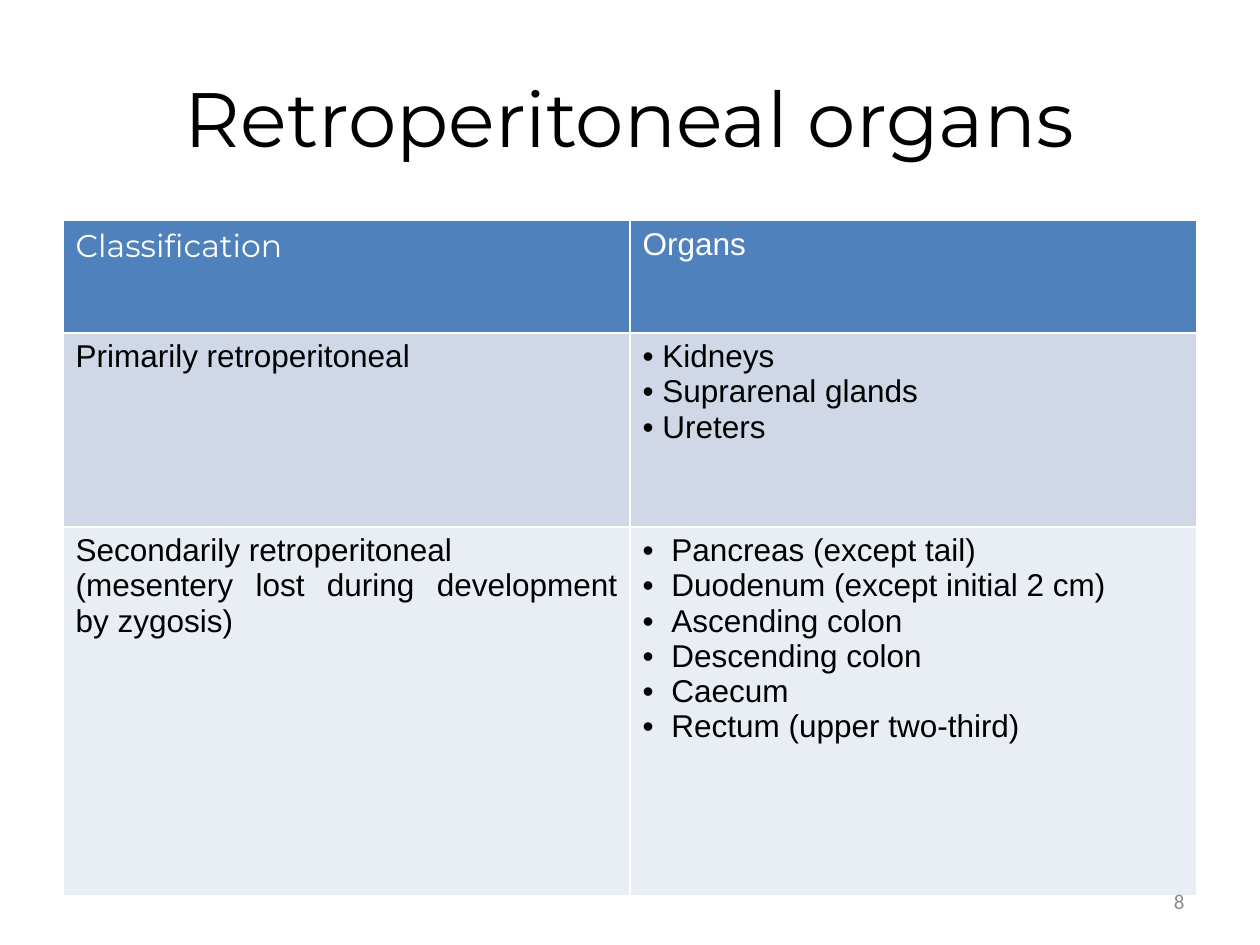
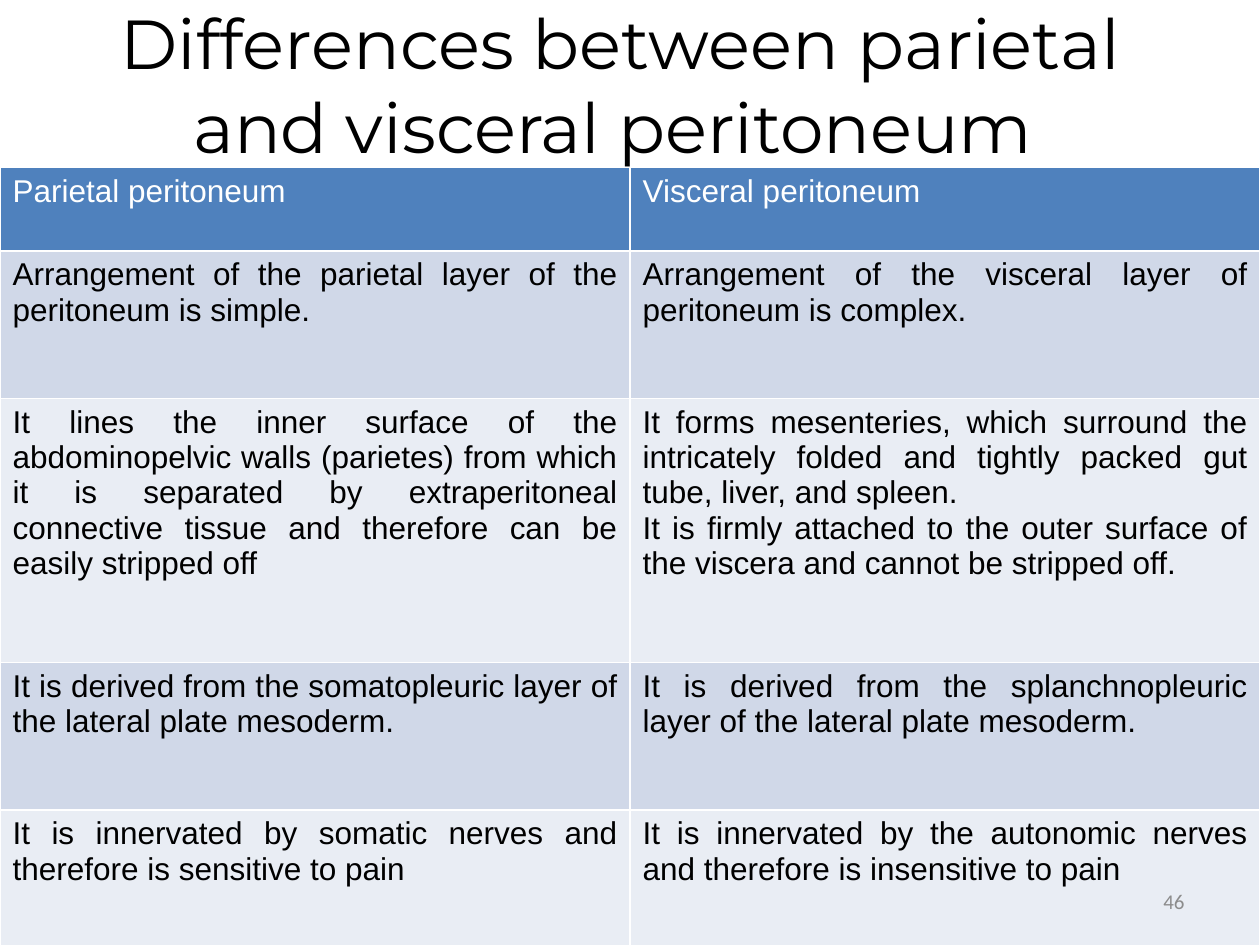
from lxml import etree
from pptx import Presentation
from pptx.dml.color import RGBColor
from pptx.enum import text
from pptx.oxml import ns
from pptx.util import Cm, Pt

BLACK = RGBColor(0x00, 0x00, 0x00)
WHITE = RGBColor(0xFF, 0xFF, 0xFF)
GREY = RGBColor(0x8C, 0x8C, 0x8C)
HEADER = RGBColor(0x4F, 0x81, 0xBD)
BANDS = RGBColor(0xD0, 0xD8, 0xE8), RGBColor(0xE9, 0xED, 0xF4)
ALIGN = text.PP_ALIGN
HEAD_FONT, BODY_FONT, NUMBER_FONT = "Montserrat", "Arial", "Calibri"
NUMBER_BOX = 18.21, 17.65, 5.92, 1.02

SLIDES = [
    {
        "title": [("Retroperitoneal organs", HEAD_FONT)],
        "title_box": (1.27, 0.76, 22.86, 3.18),
        "title_size": 44,
        "table_box": (1.27, 4.45, 22.86),
        "row_heights": (2.26, 3.91, 7.44),
        "header_fonts": (HEAD_FONT, BODY_FONT),
        "header_align": ALIGN.JUSTIFY,
        "bullet_indents": {1: 0.4, 2: 0.58},
        "number": "8",
        "rows": [
            (["Classification"], ["Organs"]),
            (["Primarily retroperitoneal"],
             ["Kidneys", "Suprarenal glands", "Ureters"]),
            (["Secondarily retroperitoneal",
              "(mesentery lost during development by zygosis)"],
             ["Pancreas (except tail)", "Duodenum (except initial 2 cm)",
              "Ascending colon", "Descending colon", "Caecum",
              "Rectum (upper two-third)"]),
        ],
    },
    {
        "title": [(" ", NUMBER_FONT),
                  ("Differences between parietal and visceral peritoneum", HEAD_FONT)],
        "title_box": (0.58, 0, 23.55, 3.38),
        "title_size": 39.6,
        "table_box": (0, 3.38, 25.4),
        "row_heights": (1.68, 2.97, 5.33, 2.97, 2.97),
        "header_fonts": (BODY_FONT, BODY_FONT),
        "header_align": ALIGN.LEFT,
        "bullet_indents": {},
        "number": "46",
        "rows": [
            (["Parietal peritoneum"], ["Visceral peritoneum"]),
            (["Arrangement of the parietal layer of the peritoneum is simple."],
             ["Arrangement of the visceral layer of peritoneum is complex."]),
            (["It lines the inner surface of the abdominopelvic walls (parietes) "
              "from which it is separated by extraperitoneal connective tissue "
              "and therefore can be easily stripped off"],
             ["It forms mesenteries, which surround the intricately folded and "
              "tightly packed gut tube, liver, and spleen.",
              "It is firmly attached to the outer surface of the viscera and "
              "cannot be stripped off."]),
            (["It is derived from the somatopleuric layer of the lateral plate mesoderm."],
             ["It is derived from the splanchnopleuric layer of the lateral plate mesoderm."]),
            (["It is innervated by somatic nerves and therefore is sensitive to pain"],
             ["It is innervated by the autonomic nerves and therefore is insensitive to pain"]),
        ],
    },
]


def add_run(p, words, font, size, color):
    r = p.add_run()
    r.text = words
    r.font.name, r.font.size = font, Pt(size)
    r.font.color.rgb = color


def add_text(s, box, runs, size, color, align):
    tf = s.shapes.add_textbox(*map(Cm, box)).text_frame
    tf.word_wrap = True
    tf.vertical_anchor = text.MSO_ANCHOR.MIDDLE
    p = tf.paragraphs[0]
    p.alignment = align
    for words, font in runs:
        add_run(p, words, font, size, color)


def add_bullet(p, indent):
    pPr = p._p.get_or_add_pPr()
    pPr.set("marL", str(Cm(indent)))
    pPr.set("indent", str(-Cm(indent)))
    etree.SubElement(pPr, ns.qn("a:buFont"), typeface=BODY_FONT)
    etree.SubElement(pPr, ns.qn("a:buChar"), char="•")


def add_borders(cell):
    tcPr = cell._tc.get_or_add_tcPr()
    for i, side in enumerate("LRTB"):
        ln = etree.Element(ns.qn(f"a:ln{side}"), w=str(Pt(1)))
        fill = etree.SubElement(ln, ns.qn("a:solidFill"))
        etree.SubElement(fill, ns.qn("a:srgbClr"), val=str(WHITE))
        tcPr.insert(i, ln)


def fill_cell(cell, lines, fill, font, color, align, indent):
    cell.fill.solid()
    cell.fill.fore_color.rgb = fill
    add_borders(cell)
    tf = cell.text_frame
    for i, line in enumerate(lines):
        p = tf.add_paragraph() if i else tf.paragraphs[0]
        p.alignment = align
        if indent:
            add_bullet(p, indent)
        add_run(p, line, font, 18, color)


def add_comparison(s, data):
    left, top, width = data["table_box"]
    rows, heights = data["rows"], data["row_heights"]
    table = s.shapes.add_table(len(rows), 2, Cm(left), Cm(top),
                               Cm(width), Cm(sum(heights))).table
    table.first_row = table.horz_banding = False
    for col in table.columns:
        col.width = Cm(width / 2)
    for i, (row, height) in enumerate(zip(rows, heights)):
        table.rows[i].height = Cm(height)
        for j, lines in enumerate(row):
            if i == 0:
                style = HEADER, data["header_fonts"][j], WHITE, data["header_align"]
            else:
                style = BANDS[(i - 1) % 2], BODY_FONT, BLACK, ALIGN.JUSTIFY
            indent = data["bullet_indents"].get(i) if j == 1 else None
            fill_cell(table.cell(i, j), lines, *style, indent)


def main():
    prs = Presentation()
    prs.slide_width, prs.slide_height = Cm(25.4), Cm(19.05)
    for data in SLIDES:
        s = prs.slides.add_slide(prs.slide_layouts[6])
        add_text(s, data["title_box"], data["title"], data["title_size"],
                 BLACK, ALIGN.CENTER)
        add_comparison(s, data)
        add_text(s, NUMBER_BOX, [(data["number"], NUMBER_FONT)], 12,
                 GREY, ALIGN.RIGHT)
    prs.save("out.pptx")


if __name__ == "__main__":
    main()
